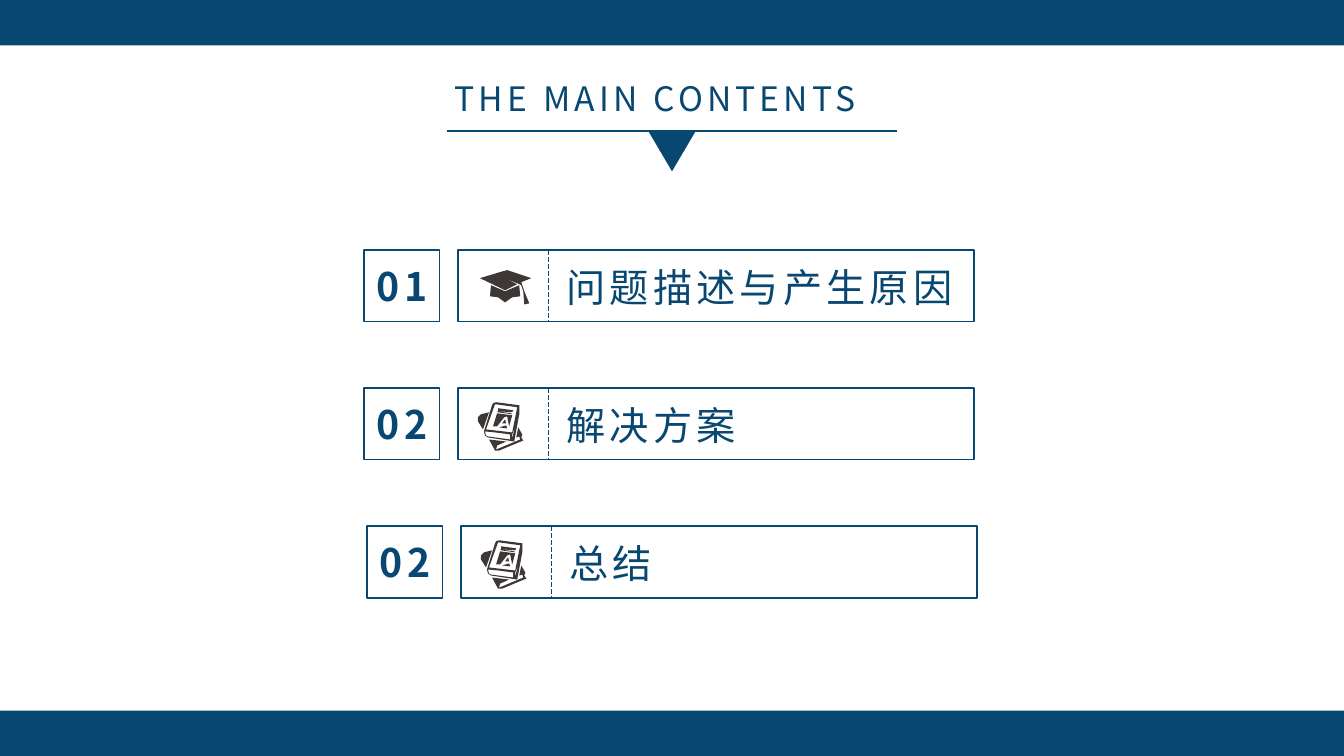
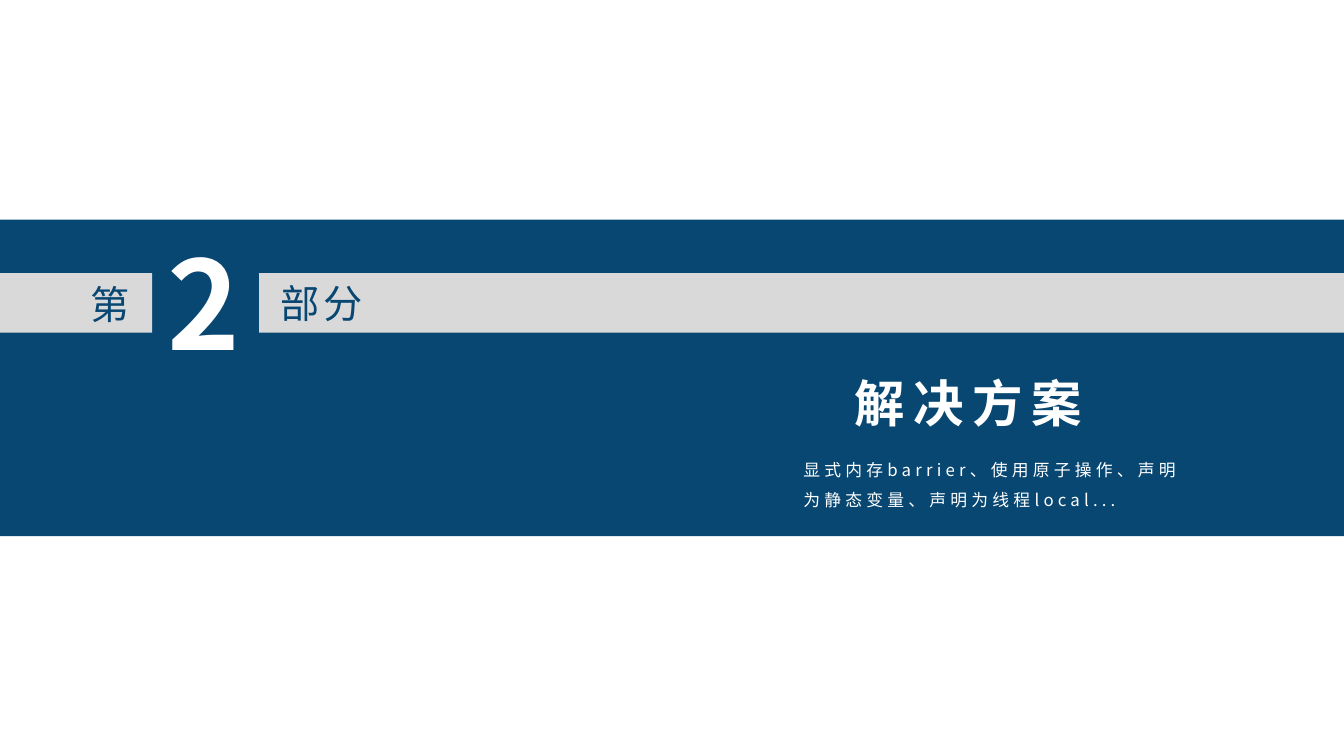
import pptx
import pptx.util
import pptx.dml.color
import pptx.enum.dml
import pptx.enum.shapes
import pptx.enum.text
import pptx.oxml.ns
import lxml.etree

Inches = pptx.util.Inches
Pt = pptx.util.Pt
RGBColor = pptx.dml.color.RGBColor
SHAPE = pptx.enum.shapes.MSO_SHAPE
qn = pptx.oxml.ns.qn

# Shared look
NAVY = RGBColor(0x08, 0x47, 0x72)
GREY = RGBColor(0xD9, 0xD9, 0xD9)
WHITE = RGBColor(0xFF, 0xFF, 0xFF)
INK = RGBColor(0x3D, 0x38, 0x36)
FONT = "Noto Sans CJK SC"
WIDTH, HEIGHT = 13.33, 7.5

# Icon outlines, in hundredths of an inch
CAP = [
    [(20, 3), (27, 1), (51, 9), (41, 13), (44, 22), (49, 34), (44, 35),
     (43, 22), (41, 16), (37, 14), (24, 9), (37, 15), (25, 21), (0, 9)],
    [(11, 16), (10, 27), (18, 28), (25, 33), (32, 28), (40, 27), (39, 16),
     (25, 22)],
]
BOOKS = [
    # Cover and page edges
    [(15, 3), (16, 1), (19, 0), (42, 3), (42, 12), (37, 39), (11, 35),
     (8, 33), (7, 29)],
    [(18, 2), (9, 27), (35, 30), (40, 5)],
    [(38, 24), (35, 32), (35, 36)],
    [(8, 29), (9, 33), (11, 34), (33, 37), (33, 32), (18, 30)],
    # Title lines and letter
    [(21, 6), (21, 9), (35, 10), (36, 8)],
    [(20, 9), (21, 10), (35, 12), (34, 11)],
    [(16, 24), (20, 24), (27, 15), (30, 14), (32, 24), (35, 13), (20, 11)],
    [(28, 17), (25, 21), (29, 21)],
    [(22, 25), (30, 26), (29, 23)],
    # Book behind
    [(1, 15), (1, 19), (6, 27), (12, 10), (4, 12)],
    [(41, 25), (39, 35), (42, 34), (43, 37), (19, 47), (20, 43), (29, 39),
     (12, 37), (18, 48), (22, 48), (46, 38), (44, 35), (45, 32)],
]


class Deck:
    def __init__(self):
        self.prs = pptx.Presentation()
        self.prs.slide_width = Inches(WIDTH)
        self.prs.slide_height = Inches(HEIGHT)
        self.s = None

    def slide(self):
        self.s = self.prs.slides.add_slide(self.prs.slide_layouts[6])

    def paint(self, sp, fill=None, line=None):
        sp.shadow.inherit = False
        if fill is None:
            sp.fill.background()
        else:
            sp.fill.solid()
            sp.fill.fore_color.rgb = fill
        if line is None:
            sp.line.fill.background()
        else:
            sp.line.color.rgb = line
            sp.line.width = Pt(1.25)

    def shape(self, x, y, w, h, fill=None, line=None, kind=SHAPE.RECTANGLE, rotation=0):
        sp = self.s.shapes.add_shape(kind, Inches(x), Inches(y), Inches(w), Inches(h))
        sp.rotation = rotation
        self.paint(sp, fill, line)

    def band(self, y, h):
        self.shape(0, y, WIDTH, h, NAVY)

    def line(self, x1, y1, x2, y2, width, dash=None):
        c = self.s.shapes.add_connector(
            pptx.enum.shapes.MSO_CONNECTOR.STRAIGHT,
            Inches(x1), Inches(y1), Inches(x2), Inches(y2))
        c.line.color.rgb = NAVY
        for key, value in {"width": Pt(width), "dash_style": dash}.items():
            setattr(c.line, key, value)
        lxml.etree.SubElement(c._element.spPr, qn("a:effectLst"))

    def text(self, x, y, w, h, words, size, color=NAVY, bold=False, spacing=3,
             line_spacing=None):
        tf = self.s.shapes.add_textbox(
            Inches(x), Inches(y), Inches(w), Inches(h)).text_frame
        tf.word_wrap = True
        tf.auto_size = pptx.enum.text.MSO_AUTO_SIZE.SHAPE_TO_FIT_TEXT
        p = tf.paragraphs[0]
        p.line_spacing = line_spacing
        r = p.add_run()
        r.text = words
        for key, value in {"name": FONT, "size": Pt(size), "bold": bold}.items():
            setattr(r.font, key, value)
        r.font.color.rgb = color
        # Letter spacing and East Asian font
        rpr = r._r.get_or_add_rPr()
        rpr.set("spc", str(spacing * 100))
        lxml.etree.SubElement(rpr, qn("a:ea")).set("typeface", FONT)

    def icon(self, x, y, outlines):
        first, *others = outlines
        fb = self.s.shapes.build_freeform(*first[0], scale=Inches(0.01))
        fb.add_line_segments(first[1:], close=True)
        for points in others:
            fb.move_to(*points[0])
            fb.add_line_segments(points[1:], close=True)
        self.paint(fb.convert_to_shape(Inches(x), Inches(y)), INK)

    def entry(self, x, y, number, words, width, outlines, dx, dy):
        h = 0.71
        self.shape(x, y, 0.75, h, line=NAVY)
        self.shape(x + 0.93, y, 5.12, h, line=NAVY)
        self.text(x + 0.03, y + 0.07, 0.97, 0.57, number, 28, bold=True)
        self.text(x + 1.91, y + 0.08, width, 0.57, words, 28)
        self.line(x + 1.83, y, x + 1.83, y + h, 1.25,
                  pptx.enum.dml.MSO_LINE.SQUARE_DOT)
        self.icon(x + dx, y + dy, outlines)


def contents(d):
    d.slide()
    for y in (0, HEIGHT - 0.45):
        d.band(y, 0.45)

    # Heading with pointer
    d.text(4.41, 0.72, 4.52, 0.5, "THE MAIN CONTENTS", 24)
    d.line(4.43, 1.3, 8.9, 1.3, 1.5)
    d.shape(6.43, 1.3, 0.47, 0.4, NAVY, kind=SHAPE.ISOSCELES_TRIANGLE, rotation=180)

    # Numbered entries
    cap, books = (CAP, 1.15, 0.19), (BOOKS, 1.12, 0.14)
    entries = [
        (3.61, "01", "问题描述与产生原因", 4.28, cap),
        (3.61, "02", "解决方案", 3.1, books),
        (3.64, "02", "总结", 3.1, books),
    ]
    for i, (x, number, words, width, icon) in enumerate(entries):
        d.entry(x, 2.48 + 1.37 * i, number, words, width, *icon)


def section(d):
    d.slide()
    d.band(2.18, 3.14)
    d.text(8.38, 3.64, 4.2, 0.71, "解决方案", 36, WHITE, True, 6)

    # Part number between grey bars
    for x, w in ((2.57, WIDTH - 2.57), (0, 1.51)):
        d.shape(x, 2.71, w, 0.59, GREY)
    d.text(0.8, 2.73, 0.83, 0.57, "第", 28)
    d.text(2.68, 2.72, 1.24, 0.57, "部分", 28)
    d.text(1.56, 2.21, 0.83, 1.58, "2", 88, WHITE, True)

    # Summary
    d.text(7.87, 4.41, 4.05, 1.01,
           "显式内存barrier、使用原子操作、声明为静态变量、声明为线程local...",
           12, WHITE, line_spacing=1.5)


def main():
    d = Deck()
    contents(d)
    section(d)
    d.prs.save("out.pptx")


if __name__ == "__main__":
    main()
